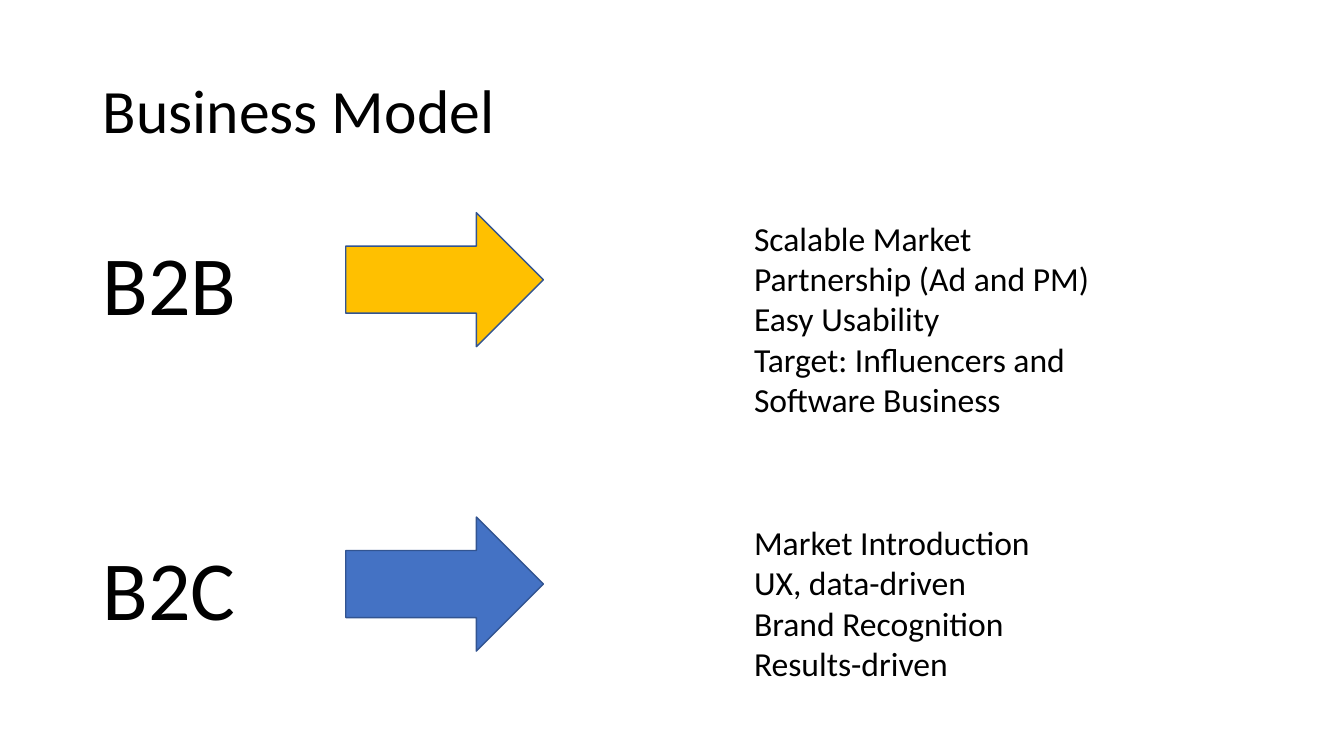
from pptx import Presentation
from pptx.dml.color import RGBColor
from pptx.enum.shapes import MSO_SHAPE as Shape
from pptx.enum.text import MSO_ANCHOR as Anchor, PP_ALIGN as Align
from pptx.util import Inches, Pt

BLACK = RGBColor(0x00, 0x00, 0x00)
GOLD = RGBColor(0xFF, 0xC0, 0x00)
BLUE = RGBColor(0x44, 0x72, 0xC4)
OUTLINE = RGBColor(0x32, 0x54, 0x91)
FONT = "Calibri"

# Content: model, arrow colour, features
TITLE = "Business Model"
MODELS = [
    ("B2B", GOLD, ["Scalable Market", "Partnership (Ad and PM)", "Easy Usability",
                   "Target: Influencers and Software Business"]),
    ("B2C", BLUE, ["Market Introduction", "UX, data-driven", "Brand Recognition",
                   "Results-driven"]),
]

# Layout in inches
FIRST_ROW, ROW_PITCH = 2.11, 3.02
LABEL_LEFT, LABEL_DROP = 0.92, 0.14
ARROW_LEFT, ARROW_WIDTH, ARROW_HEIGHT = 3.43, 1.96, 1.33
FEATURES_LEFT, FEATURES_WIDTH = 7.38, 3.79


def write(frame, lines, size):
    frame.word_wrap = True
    frame.text = "\n".join(lines)
    for para in frame.paragraphs:
        para.alignment = Align.LEFT
        for span in para.runs:
            span.font.name = FONT
            span.font.size = Pt(size)
            span.font.color.rgb = BLACK


def add_text(page, left, top, width, height, lines, size):
    box = page.shapes.add_textbox(Inches(left), Inches(top), Inches(width), Inches(height))
    write(box.text_frame, lines, size)


def add_arrow(page, top, color):
    arrow = page.shapes.add_shape(Shape.RIGHT_ARROW, Inches(ARROW_LEFT), Inches(top),
                                  Inches(ARROW_WIDTH), Inches(ARROW_HEIGHT))
    arrow.shadow.inherit = False
    arrow.fill.solid()
    arrow.fill.fore_color.rgb = color
    arrow.line.color.rgb = OUTLINE
    arrow.line.width = Pt(1)


def main():
    deck = Presentation()
    deck.slide_width, deck.slide_height = Inches(13.33), Inches(7.5)
    page = deck.slides.add_slide(deck.slide_layouts[5])

    # Title
    title = page.shapes.title
    title.left, title.top = Inches(0.92), Inches(0.4)
    title.width, title.height = Inches(11.5), Inches(1.45)
    title.text_frame.vertical_anchor = Anchor.MIDDLE
    write(title.text_frame, [TITLE], 44)
    title.text_frame.paragraphs[0].line_spacing = 0.9

    # One row per business model
    for row, (model, color, features) in enumerate(MODELS):
        top = FIRST_ROW + row * ROW_PITCH
        add_text(page, LABEL_LEFT, top + LABEL_DROP, 2.2, 1.11, [model], 60)
        add_arrow(page, top, color)
        add_text(page, FEATURES_LEFT, top, FEATURES_WIDTH, 2.32, features, 24)

    deck.save("out.pptx")


if __name__ == "__main__":
    main()
